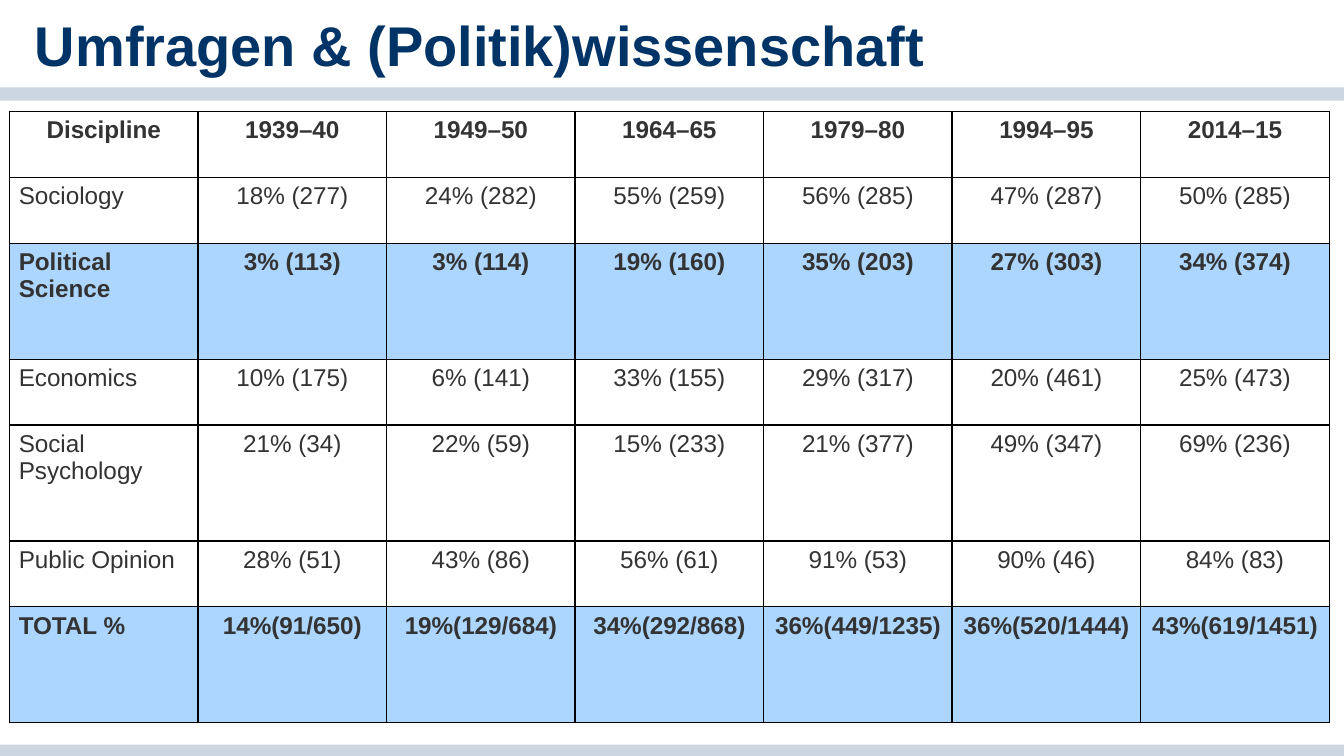
"""Build a slide with a table of survey use by social science discipline."""
from lxml.etree import SubElement
from pptx import Presentation
from pptx.dml.color import RGBColor
from pptx.enum.shapes import MSO_SHAPE
from pptx.enum.text import PP_ALIGN
from pptx.oxml.ns import qn
from pptx.util import Inches, Pt

COLORS = {
    "band": "CCD6E0",
    "title": "003366",
    "text": "333333",
    "plain": "FFFFFF",
    "highlight": "ADD6FF",
    "border": "000000",
}
ROWS = [
    ["Discipline", "1939–40", "1949–50", "1964–65", "1979–80", "1994–95", "2014–15"],
    ["Sociology", "18% (277)", "24% (282)", "55% (259)", "56% (285)", "47% (287)", "50% (285)"],
    ["Political Science", "3% (113)", "3% (114)", "19% (160)", "35% (203)", "27% (303)", "34% (374)"],
    ["Economics", "10% (175)", "6% (141)", "33% (155)", "29% (317)", "20% (461)", "25% (473)"],
    ["Social Psychology", "21% (34)", "22% (59)", "15% (233)", "21% (377)", "49% (347)", "69% (236)"],
    ["Public Opinion", "28% (51)", "43% (86)", "56% (61)", "91% (53)", "90% (46)", "84% (83)"],
    ["TOTAL %", "14%(91/650)", "19%(129/684)", "34%(292/868)", "36%(449/1235)", "36%(520/1444)", "43%(619/1451)"],
]
HIGHLIGHTED_ROWS = (2, 6)
TALL_ROWS = (2, 4, 6)
TABLE_HEIGHT = Inches(4.55)
SHORT_HEIGHT = Inches(0.49)
TALL_HEIGHT = (TABLE_HEIGHT - 4 * SHORT_HEIGHT) // 3


def add_run(paragraph, text, size, color, bold):
    run = paragraph.add_run()
    run.text = text
    run.font.name = "Arial"
    run.font.size = Pt(size)
    run.font.bold = bold
    run.font.color.rgb = RGBColor.from_string(COLORS[color])


def add_borders(cell):
    properties = cell._tc.get_or_add_tcPr()
    for side in ("lnL", "lnR", "lnT", "lnB"):
        line = SubElement(properties, qn(f"a:{side}"), w=str(Pt(0.75)))
        fill = SubElement(line, qn("a:solidFill"))
        SubElement(fill, qn("a:srgbClr"), val=COLORS["border"])


presentation = Presentation()
presentation.slide_width = Inches(10)
presentation.slide_height = Inches(10) * 9 // 16
slide = presentation.slides.add_slide(presentation.slide_layouts[6])

for top in (5.54, 0.65):
    band = slide.shapes.add_shape(MSO_SHAPE.RECTANGLE, 0, Inches(top), Inches(10), Inches(0.1))
    band.shadow.inherit = False
    band.fill.solid()
    band.fill.fore_color.rgb = RGBColor.from_string(COLORS["band"])
    band.line.fill.background()

title = slide.shapes.add_textbox(Inches(0.26), Inches(0.08), Inches(7.06), Inches(0.47))
title_frame = title.text_frame
title_frame.word_wrap = True
title_frame.margin_left = title_frame.margin_right = 0
title_frame.margin_top = title_frame.margin_bottom = 0
add_run(title_frame.paragraphs[0], "Umfragen & (Politik)wissenschaft", 30, "title", True)

table_shape = slide.shapes.add_table(
    len(ROWS), len(ROWS[0]), Inches(0.07), Inches(0.83), Inches(9.82), TABLE_HEIGHT
)
table = table_shape.table
table.first_row = False
table.horz_banding = False

for row_index, values in enumerate(ROWS):
    table.rows[row_index].height = TALL_HEIGHT if row_index in TALL_ROWS else SHORT_HEIGHT
    highlighted = row_index in HIGHLIGHTED_ROWS
    background = COLORS["highlight" if highlighted else "plain"]
    for column_index, value in enumerate(values):
        cell = table.cell(row_index, column_index)
        cell.margin_left = cell.margin_right = Inches(0.07)
        cell.margin_top = cell.margin_bottom = Inches(0.04)
        add_borders(cell)
        cell.fill.solid()
        cell.fill.fore_color.rgb = RGBColor.from_string(background)
        paragraph = cell.text_frame.paragraphs[0]
        centered = row_index == 0 or column_index > 0
        paragraph.alignment = PP_ALIGN.CENTER if centered else PP_ALIGN.LEFT
        add_run(paragraph, value, 13, "text", row_index == 0 or highlighted)

presentation.save("out.pptx")
